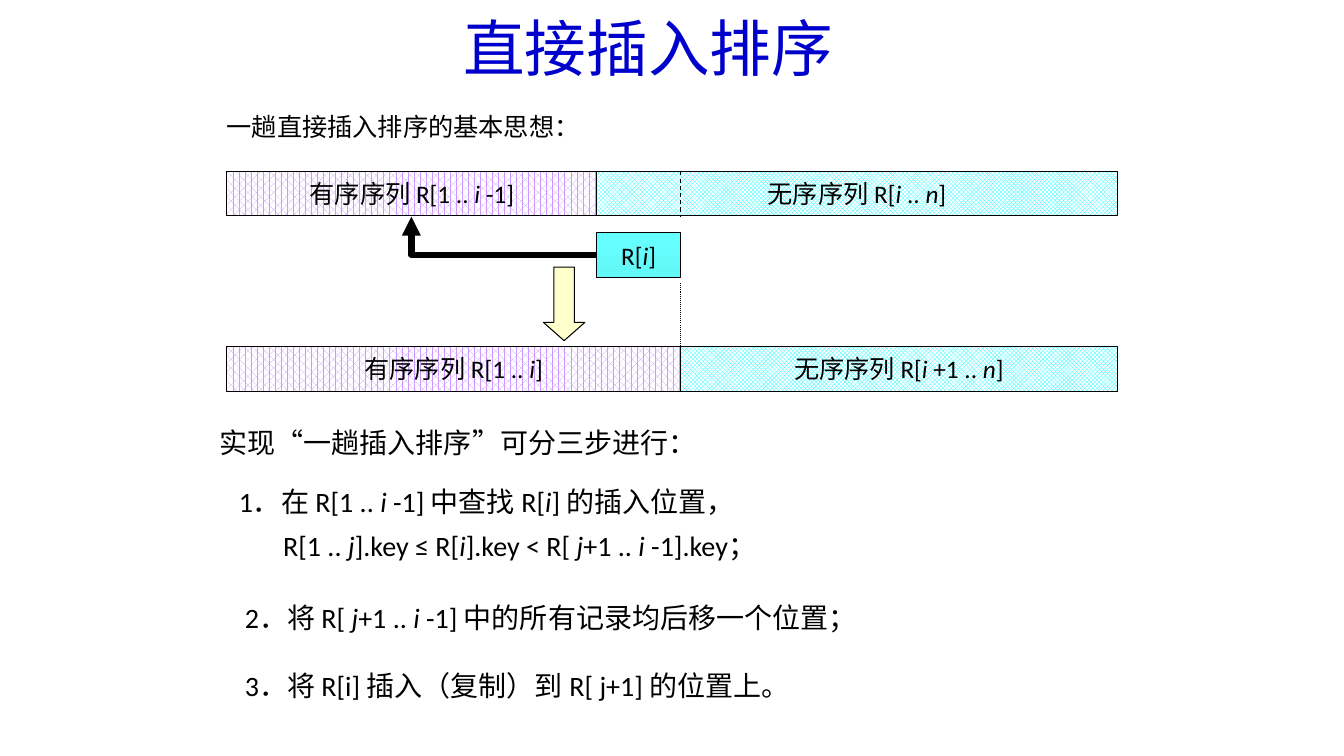
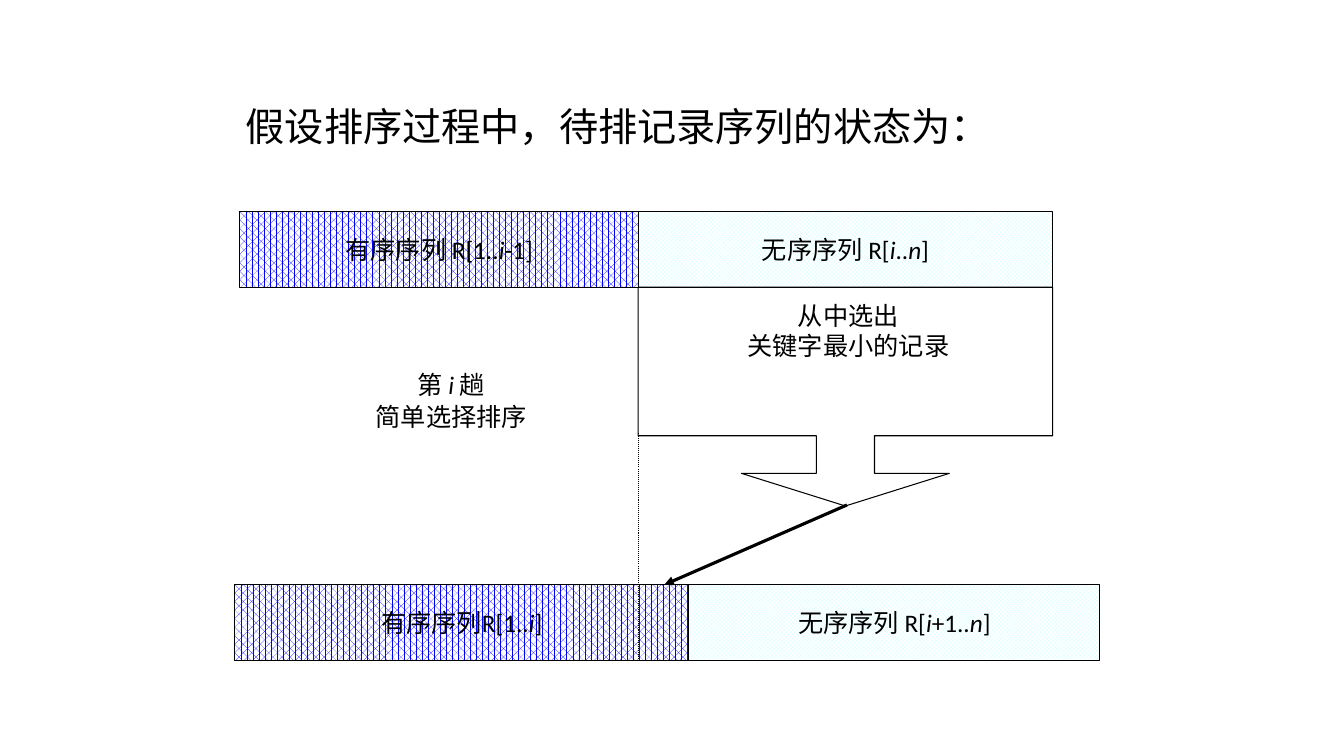
import pptx
import pptx.util
import pptx.dml.color
import pptx.enum.dml
import pptx.enum.shapes
import pptx.enum.text
import pptx.oxml.ns
import lxml.etree

PX = 9144  # one hundred px to the inch
LATIN, HAN = "Calibri", "Noto Sans CJK SC"
BLACK, WHITE, BLUE = "000000", "FFFFFF", "0000CC"
LILAC, AQUA, INDIGO, PALE, CREAM = "CC99FF", "00FFFF", "0000FF", "CCFFFF", "FFFFCC"

PRESET = pptx.enum.shapes.MSO_SHAPE
ALIGN = pptx.enum.text.PP_ALIGN
PATTERN = pptx.enum.dml.MSO_PATTERN
DASH = pptx.enum.dml.MSO_LINE


def px(*values):
    return [pptx.util.Emu(value * PX) for value in values]


def color(code):
    return pptx.dml.color.RGBColor.from_string(code)


def child(parent, tag, **attrs):
    node = lxml.etree.SubElement(parent, pptx.oxml.ns.qn(tag))
    for key, value in attrs.items():
        node.set(key, value)
    return node


def write(para, text, size, tint=BLACK, face=LATIN, align=ALIGN.LEFT, pitch=1.0):
    """Add the text as runs; parts between asterisks are italic."""
    para.alignment = align
    para.line_spacing = pitch
    for index, part in enumerate(text.split("*")):
        if not part:
            continue
        run = para.add_run()
        run.text = part
        run.font.size = pptx.util.Pt(size)
        run.font.name = face
        run.font.italic = index % 2 == 1
        run.font.color.rgb = color(tint)
        child(run.font._element, "a:ea", typeface=HAN)


def label(slide, box, lines, size, indent=0, **style):
    """Add a text box; lines after the first are indented."""
    frame = slide.shapes.add_textbox(*px(*box)).text_frame
    frame.word_wrap = True
    for index, line in enumerate(lines):
        para = frame.add_paragraph() if index else frame.paragraphs[0]
        if index and indent:
            para._p.get_or_add_pPr().set("marL", str(indent * PX))
        write(para, line, size, **style)


def shape(slide, preset, box, adjust=()):
    item = slide.shapes.add_shape(preset, *px(*box))
    item.shadow.inherit = False
    item.line.color.rgb = color(BLACK)
    item.line.width = pptx.util.Pt(0.75)
    for index, value in enumerate(adjust):
        item.adjustments[index] = value
    return item


def block(slide, box, text):
    item = shape(slide, PRESET.RECTANGLE, box)
    frame = item.text_frame
    frame.word_wrap = False
    frame.vertical_anchor = pptx.enum.text.MSO_ANCHOR.MIDDLE
    write(frame.paragraphs[0], text, 18, align=ALIGN.CENTER)
    return item


def band(slide, top, height, edges, tints, texts):
    """Draw the sorted part and the unsorted part side by side."""
    patterns = (PATTERN.PERCENT_60, PATTERN.TRELLIS)
    for left, right, tint, text, pattern in zip(edges, edges[1:], tints, texts, patterns):
        fill = block(slide, (left, top, right - left, height), text).fill
        fill.patterned()
        fill.pattern = pattern
        fill.fore_color.rgb = color(tint)
        fill.back_color.rgb = color(WHITE)


def line(slide, start, end, width=0.75, dash=None, arrow=False):
    kind = pptx.enum.shapes.MSO_CONNECTOR.STRAIGHT
    item = slide.shapes.add_connector(kind, *px(*start, *end))
    item.line.color.rgb = color(BLACK)
    item.line.width = pptx.util.Pt(width)
    if dash:
        item.line.dash_style = dash
    if arrow:
        child(item.line._ln, "a:tailEnd", type="triangle")
    child(item._element.spPr, "a:effectLst")
    return item


def bend(slide, start, end, width):
    """Draw an arrow that runs left from start, then up to end."""
    item = line(slide, end, start, width, arrow=True)
    props = item._element.spPr
    props.find(pptx.oxml.ns.qn("a:xfrm")).set("rot", "10800000")
    props.find(pptx.oxml.ns.qn("a:prstGeom")).set("prst", "bentConnector2")


def insert(slide):
    label(slide, (193, 5, 900, 125), ["直接插入排序"], 44,
          tint=BLUE, face=HAN, align=ALIGN.CENTER)
    label(slide, (215, 106, 500, 40), ["一趟直接插入排序的基本思想："], 18, face=HAN)

    tints = (LILAC, AQUA)
    band(slide, 170, 44, (225, 592, 1108), tints,
         ("有序序列 R[1 .. *i *-1]", "无序序列 R[*i *.. *n*]"))
    band(slide, 344, 44, (225, 675, 1108), tints,
         ("有序序列 R[1 .. *i*]", "无序序列 R[*i* +1 .. *n*]"))

    fill = block(slide, (592, 231, 83, 44), "R[*i*]").fill
    fill.gradient()
    fill.gradient_angle = 270
    for stop, tint in zip(fill.gradient_stops, ("66FFFF", "63F8F8")):
        stop.color.rgb = color(tint)

    bend(slide, (592, 253), (408, 215), 4.5)
    down = shape(slide, PRESET.DOWN_ARROW, (539, 265, 41, 73), (0.5, 0.44))
    down.fill.solid()
    down.fill.fore_color.rgb = color(CREAM)
    line(slide, (675, 170), (675, 215), dash=DASH.DASH)
    line(slide, (675, 281), (675, 354), dash=DASH.ROUND_DOT)

    label(slide, (208, 411, 600, 47), ["实现“一趟插入排序”可分三步进行："], 20,
          face=HAN, pitch=1.2)
    label(slide, (227, 466, 700, 94),
          ["1．在 R[1 .. *i* -1] 中查找 R[*i*] 的插入位置，",
           "R[1 .. *j*].key ≤ R[*i*].key < R[ *j*+1 .. *i* -1].key；"],
          20, indent=44, pitch=1.3)
    steps = ("2．将 R[ *j*+1 .. *i* -1] 中的所有记录均后移一个位置；",
             "3．将 R[i] 插入（复制）到 R[ j+1] 的位置上。")
    for index, step in enumerate(steps):
        label(slide, (233, 581 + 67 * index, 900, 50), [step], 20, pitch=1.3)


def select(slide):
    label(slide, (234, 97, 850, 57), ["假设排序过程中，待排记录序列的状态为："], 28)
    tints = (INDIGO, PALE)
    band(slide, 210, 75, (238, 633, 1044), tints,
         ("有序序列 R[1..*i*-1]", "无序序列 R[*i*..*n*]"))
    label(slide, (278, 360, 339, 72), ["第 *i* 趟", "简单选择排序"], 18,
          align=ALIGN.CENTER, pitch=1.05)
    label(slide, (650, 293, 383, 71), ["从中选出", "关键字最小的记录"], 18,
          align=ALIGN.CENTER)
    call = shape(slide, PRESET.DOWN_ARROW_CALLOUT, (633, 285, 411, 217),
                 (0.266, 0.475, 0.149, 0.679))
    call.fill.background()
    band(slide, 580, 75, (233, 683, 1091), tints,
         ("有序序列R[1..*i*]", "无序序列 R[*i*+1..*n*]"))
    line(slide, (633, 430), (633, 656), dash=DASH.ROUND_DOT)
    line(slide, (840, 501), (659, 580), 2.25, arrow=True)


def main():
    deck = pptx.Presentation()
    deck.slide_width, deck.slide_height = px(1333, 750)
    for build in (insert, select):
        build(deck.slides.add_slide(deck.slide_layouts[6]))
    deck.save("out.pptx")


if __name__ == "__main__":
    main()
